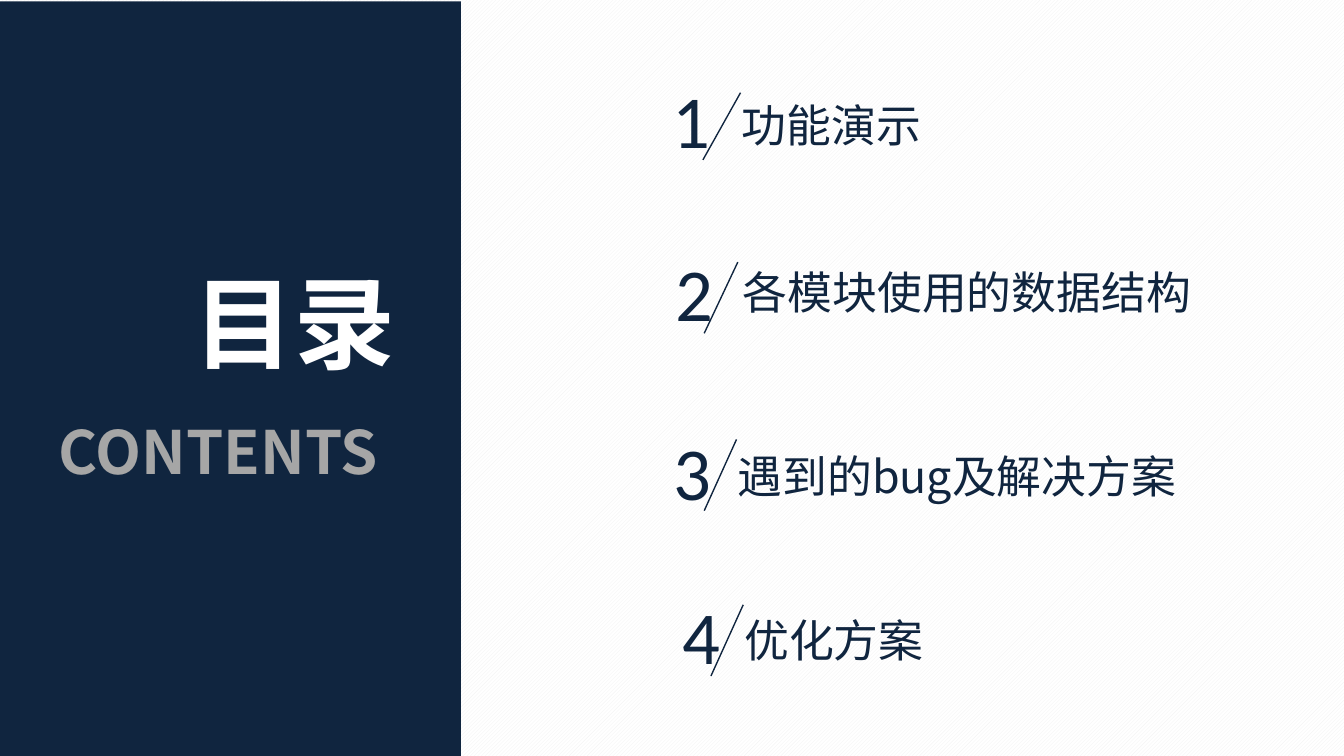
from lxml.etree import SubElement
from pptx import Presentation
from pptx.dml.color import RGBColor
from pptx.enum.dml import MSO_PATTERN
from pptx.enum.shapes import MSO_CONNECTOR as CONN, MSO_SHAPE as SHAPE
from pptx.enum.text import MSO_AUTO_SIZE as AUTO, PP_ALIGN as ALIGN
from pptx.oxml.ns import qn
from pptx.util import Inches, Pt

W = 10
H = W * 9 / 16
NAVY, GRAY, WHITE, STRIPE = "10253F", "A6A6A6", "FFFFFF", "F2F2F2"
CJK, LATIN = "Noto Sans CJK SC", "Calibri"

HEADINGS = [
    ("CONTENTS", (0.34, 3.04, 2.82, 0.64), 32, GRAY, True),
    ("目录", (1.34, 1.89, 1.72, 1.01), 54, WHITE, False),
]
ITEMS = [
    {"label": "功能演示", "at": (5.42, 0.68), "width": 1.53, "wrap": False,
     "number": (4.9, 0.5), "slash": (5.51, 0.69, 0.28, 0.5)},
    {"label": "各模块使用的数据结构", "at": (5.43, 1.92), "width": 3.53, "wrap": False,
     "number": (4.92, 1.79), "slash": (5.49, 1.95, 0.25, 0.53)},
    {"label": "遇到的bug及解决方案", "at": (5.39, 3.29), "width": 3.5, "wrap": True,
     "number": (4.91, 3.12), "slash": (5.48, 3.27, 0.24, 0.53)},
    {"label": "优化方案", "at": (5.44, 4.51), "width": 1.53, "wrap": False,
     "number": (4.97, 4.34), "slash": (5.53, 4.5, 0.24, 0.53)},
]


def rgb(color):
    return RGBColor.from_string(color)


def add_text(shapes, text, box, size, color, font=CJK, bold=False, wrap=False, align=ALIGN.LEFT):
    s = shapes.add_textbox(*map(Inches, box))
    tf = s.text_frame
    tf.text = text
    tf.word_wrap = wrap
    tf.auto_size = AUTO.SHAPE_TO_FIT_TEXT
    p = tf.paragraphs[0]
    p.alignment = align
    f = p.runs[0].font
    f.name, f.size, f.bold = font, Pt(size), bold
    f.color.rgb = rgb(color)
    SubElement(p.runs[0]._r.rPr, qn("a:ea"), typeface=font)


def add_slash(shapes, x, y, w, h):
    c = shapes.add_connector(CONN.STRAIGHT, *map(Inches, (x, y, x - w, y + h)))
    c.line.color.rgb = rgb(NAVY)
    c.line.width = Pt(0.75)
    SubElement(c._element.spPr, qn("a:effectLst"))


def add_item(shapes, n, item):
    add_text(shapes, item["label"], (*item["at"], item["width"], 0.5), 24, NAVY,
             wrap=item["wrap"])
    group = shapes.add_group_shape().shapes
    add_text(group, str(n), (*item["number"], 0.49, 0.77), 40, NAVY, LATIN,
             align=ALIGN.CENTER)
    add_slash(group, *item["slash"])


def main():
    prs = Presentation()
    prs.slide_width, prs.slide_height = Inches(W), Inches(H)
    slide = prs.slides.add_slide(prs.slide_layouts[6])

    fill = slide.background.fill
    fill.patterned()
    fill.pattern = MSO_PATTERN.LIGHT_UPWARD_DIAGONAL
    fill.fore_color.rgb, fill.back_color.rgb = rgb(STRIPE), rgb(WHITE)

    panel = slide.shapes.add_shape(SHAPE.RECTANGLE, 0, Inches(0.01), Inches(3.43), Inches(H))
    panel.shadow.inherit = False
    panel.fill.solid()
    panel.fill.fore_color.rgb = rgb(NAVY)
    panel.line.fill.background()

    for text, box, size, color, wrap in HEADINGS:
        add_text(slide.shapes, text, box, size, color, bold=True, wrap=wrap)
    for n, item in enumerate(ITEMS, 1):
        add_item(slide.shapes, n, item)

    prs.save("out.pptx")


if __name__ == "__main__":
    main()
